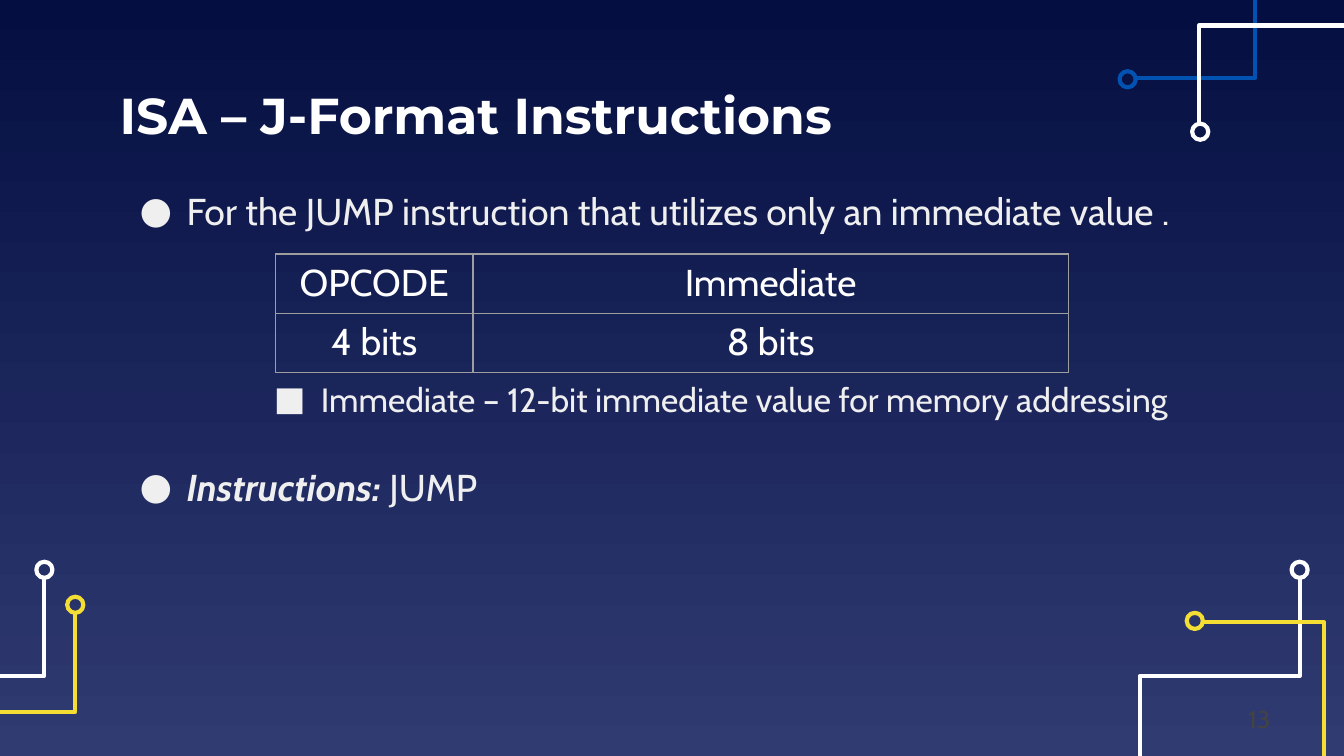
from dataclasses import dataclass

from lxml.etree import SubElement
from pptx import Presentation
from pptx.dml.color import RGBColor as Rgb
from pptx.enum.shapes import MSO_SHAPE as Shape
from pptx.enum.text import MSO_ANCHOR as Anchor, MSO_AUTO_SIZE as AutoSize, PP_ALIGN as Align
from pptx.oxml.ns import qn
from pptx.util import Inches, Pt


@dataclass(frozen=True)
class Theme:
    width: float = 10
    height: float = 10 * 9 / 16
    sky: str = "040E41"
    ground: str = "303B72"
    white: str = "FFFFFF"
    text: str = "EFEFEF"
    blue: str = "0152B1"
    yellow: str = "F5DE34"
    grid: str = "9E9E9E"
    number: str = "434343"
    heading_font: str = "Montserrat"
    body_font: str = "Cabin"
    title_size: float = 27
    body_size: float = 20
    detail_size: float = 18
    number_size: float = 13
    trace_width: float = 2.25
    grid_width: float = 0.75
    inset: float = 0.1
    ring_radius: float = 0.06


class SlideBuilder:
    def __init__(self, deck, theme):
        self.theme = theme
        self.page = deck.slides.add_slide(deck.slide_layouts[5])

    def background(self):
        fill = self.page.background.fill
        fill.gradient()
        fill.gradient_angle = 270
        for stop, color in zip(fill.gradient_stops, (self.theme.sky, self.theme.ground)):
            stop.color.rgb = Rgb.from_string(color)

    def style_span(self, span, size, color, font=None, bold=False, italic=False):
        span.font.name = font or self.theme.body_font
        span.font.size = Pt(size)
        span.font.color.rgb = Rgb.from_string(color)
        span.font.bold = bold
        span.font.italic = italic

    def prepare_frame(self, frame, anchor=Anchor.TOP):
        frame.word_wrap = True
        frame.auto_size = AutoSize.NONE
        frame.vertical_anchor = anchor
        inset = Inches(self.theme.inset)
        frame.margin_left = frame.margin_right = inset
        frame.margin_top = frame.margin_bottom = inset

    def title(self, text, left, top, width, height):
        box = self.page.shapes.title
        box.left, box.top, box.width, box.height = map(Inches, (left, top, width, height))
        self.prepare_frame(box.text_frame, Anchor.MIDDLE)
        box.text_frame.text = text
        para = box.text_frame.paragraphs[0]
        para.alignment = Align.LEFT
        self.style_span(para.runs[0], self.theme.title_size, self.theme.white,
                        self.theme.heading_font, bold=True)

    def text_box(self, left, top, width, height):
        box = self.page.shapes.add_textbox(*map(Inches, (left, top, width, height)))
        self.prepare_frame(box.text_frame)
        return box.text_frame

    def bullet(self, para, text, symbol="●", left=0.5, level=0, before=0, size=None, lead=""):
        size = size or self.theme.body_size
        if lead:
            span = para.add_run()
            span.text = lead
            self.style_span(span, size, self.theme.text, bold=True, italic=True)
        span = para.add_run()
        span.text = text
        self.style_span(span, size, self.theme.text)
        para.level = level
        para.space_before = Pt(before)
        properties = para._p.get_or_add_pPr()
        properties.set("marL", str(Inches(left)))
        properties.set("indent", str(Inches(-0.35)))
        color = SubElement(properties, qn("a:buClr"))
        SubElement(color, qn("a:srgbClr"), val=self.theme.text)
        SubElement(properties, qn("a:buFont"), typeface=self.theme.body_font)
        SubElement(properties, qn("a:buChar"), char=symbol)

    def page_number(self, text, left, top, width, height):
        frame = self.text_box(left, top, width, height)
        frame.text = text
        frame.vertical_anchor = Anchor.MIDDLE
        para = frame.paragraphs[0]
        para.alignment = Align.RIGHT
        self.style_span(para.runs[0], self.theme.number_size, self.theme.number)

    def table(self, rows, left, top, widths, row_height):
        frame = self.page.shapes.add_table(
            len(rows), len(widths), Inches(left), Inches(top),
            Inches(sum(widths)), Inches(row_height * len(rows)))
        table = frame.table
        table.first_row = table.horz_banding = False
        for column, width in zip(table.columns, widths):
            column.width = Inches(width)
        for row, values in zip(table.rows, rows):
            row.height = Inches(row_height)
            for cell, value in zip(row.cells, values):
                self.table_cell(cell, value)

    def table_cell(self, cell, text):
        cell.text_frame.text = text
        para = cell.text_frame.paragraphs[0]
        para.alignment = Align.CENTER
        self.style_span(para.runs[0], self.theme.body_size, self.theme.white)
        properties = cell._tc.get_or_add_tcPr()
        for side in ("a:lnL", "a:lnR", "a:lnT", "a:lnB"):
            border = SubElement(properties, qn(side), w=str(Pt(self.theme.grid_width)))
            fill = SubElement(border, qn("a:solidFill"))
            SubElement(fill, qn("a:srgbClr"), val=self.theme.grid)
        cell.fill.background()

    def outline(self, shape, color):
        shape.shadow.inherit = False
        shape.fill.background()
        shape.line.color.rgb = Rgb.from_string(color)
        shape.line.width = Pt(self.theme.trace_width)

    def circuit_trace(self, color, ring, start, *corners):
        points = [(Inches(x), Inches(y)) for x, y in (start, *corners)]
        builder = self.page.shapes.build_freeform(*points[0])
        builder.add_line_segments(points[1:], close=False)
        self.outline(builder.convert_to_shape(), color)
        radius = self.theme.ring_radius
        left, top = (Inches(center - radius) for center in ring)
        size = Inches(2 * radius)
        self.outline(self.page.shapes.add_shape(Shape.OVAL, left, top, size, size), color)


def main():
    theme = Theme()
    deck = Presentation()
    deck.slide_width, deck.slide_height = Inches(theme.width), Inches(theme.height)
    slide = SlideBuilder(deck, theme)
    slide.background()

    right, bottom = theme.width, theme.height
    traces = (
        (theme.white, (9.67, 4.24), (9.67, 4.3), (9.67, 5.03), (8.48, 5.03), (8.48, bottom)),
        (theme.blue, (8.39, 0.59), (8.45, 0.58), (9.34, 0.58), (9.34, 0)),
        (theme.white, (8.93, 0.98), (8.92, 0.92), (8.92, 0.19), (right, 0.19)),
        (theme.yellow, (8.89, 4.62), (8.95, 4.63), (9.85, 4.63), (9.85, bottom)),
        (theme.white, (0.33, 4.24), (0.33, 4.3), (0.33, 5.03), (0, 5.03)),
        (theme.yellow, (0.56, 4.5), (0.56, 4.56), (0.56, 5.3), (0, 5.3)),
    )
    for trace in traces:
        slide.circuit_trace(*trace)

    slide.title("ISA – J-Format Instructions", 0.79, 0.59, 8.43, 0.52)
    body = slide.text_box(0.79, 1.3, 8.43, 3.74)
    slide.bullet(body.paragraphs[0],
                 "For the JUMP instruction that utilizes only an immediate value .")
    slide.bullet(body.add_paragraph(),
                 "Immediate – 12-bit immediate value for memory addressing",
                 symbol="■", left=1.5, level=2, before=78, size=theme.detail_size)
    slide.bullet(body.add_paragraph(), "JUMP", before=24, lead="Instructions: ")
    slide.table((("OPCODE", "Immediate"), ("4 bits", "8 bits")),
                2.05, 1.89, (1.47, 4.43), 0.44)
    slide.page_number("13", 8.95, 5.13, 0.6, 0.43)
    deck.save("out.pptx")


if __name__ == "__main__":
    main()
